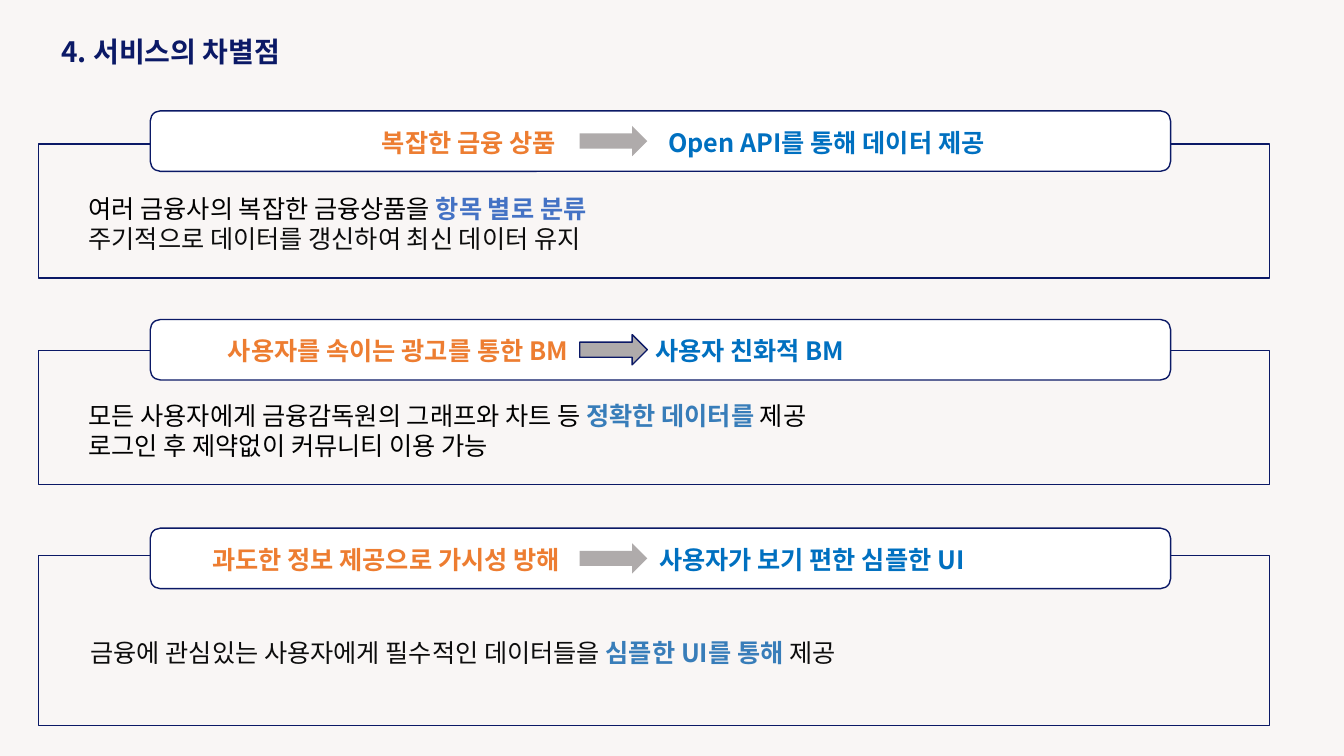
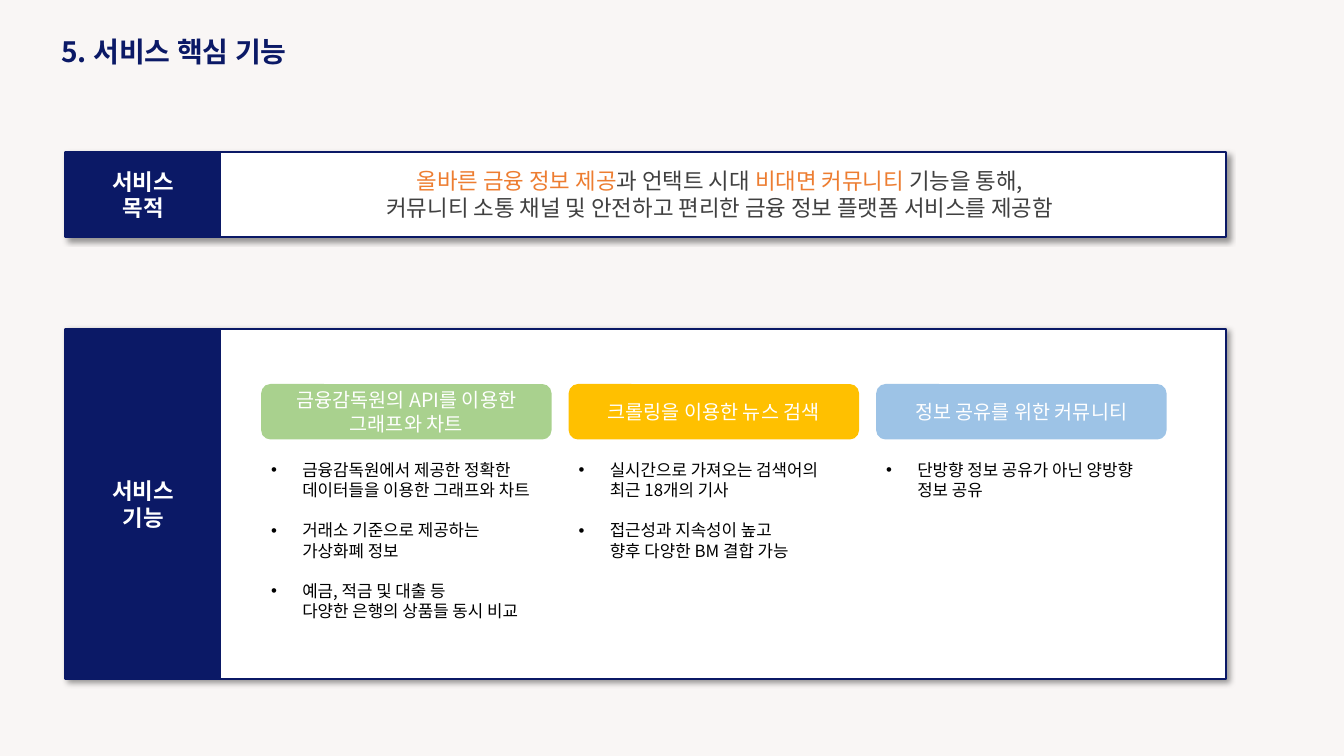
"""Build two slides on what sets a finance information service apart and its key features."""
from dataclasses import dataclass

from lxml import etree
from pptx import Presentation
from pptx import slide as sl
from pptx import util as u
from pptx.dml import color as dml
from pptx.enum import shapes, text
from pptx.oxml import ns
from pptx.shapes import autoshape as auto
from pptx.text import text as tx

FONT = "Noto Sans CJK KR"
BACKGROUND, NAVY, WHITE, BLACK = "F9F6F5", "0B1966", "FFFFFF", "000000"
ORANGE, BLUE, GRAY, DARK = "ED7D31", "0070C0", "AFABAB", "404040"
NEAR_BLACK, INDIGO, STEEL = "0D0D0D", "4472C4", "387DB9"
RECTANGLE = shapes.MSO_SHAPE.RECTANGLE
ROUNDED = shapes.MSO_SHAPE.ROUNDED_RECTANGLE
ARROW = shapes.MSO_SHAPE.RIGHT_ARROW
LEFT, CENTER, RIGHT = text.PP_ALIGN.LEFT, text.PP_ALIGN.CENTER, text.PP_ALIGN.RIGHT


@dataclass(frozen=True)
class Box:
    left: float
    top: float
    width: float
    height: float

    def lengths(self) -> tuple[u.Length, ...]:
        return tuple(u.Inches(n) for n in (self.left, self.top, self.width, self.height))


@dataclass(frozen=True)
class Span:
    text: str
    color: str
    bold: bool = False


Line = tuple[Span, ...]


@dataclass(frozen=True)
class Difference:
    problem: str
    problem_right: float
    answer: str
    answer_left: float
    frame: Box
    body: Box
    lines: tuple[Line, ...]
    arrow_line: str | None = None


@dataclass(frozen=True)
class Feature:
    heading: tuple[str, ...]
    color: str
    bullets: tuple[tuple[str, str], ...]


DIFFERENCES = (
    Difference(
        "복잡한 금융 상품", 5.51, "Open API를 통해 데이터 제공", 6.63,
        Box(0.38, 1.43, 12.21, 1.33), Box(0.78, 1.87, 11.49, 0.71),
        ((Span("여러 금융사의 복잡한 금융상품을 ", BLACK), Span("항목 별로 분류", INDIGO, True)),
         (Span("주기적으로 데이터를 갱신하여 최신 데이터 유지", NEAR_BLACK),)),
    ),
    Difference(
        "사용자를 속이는 광고를 통한 BM", 5.63, "사용자 친화적 BM", 6.5,
        Box(0.38, 3.48, 12.21, 1.33), Box(0.78, 3.92, 11.49, 0.71),
        ((Span("모든 사용자에게 금융감독원의 그래프와 차트 등 ", BLACK),
          Span("정확한 데이터를", STEEL, True), Span(" 제공", BLACK)),
         (Span("로그인 후 제약없이 커뮤니티 이용 가능", BLACK),)),
        NAVY,
    ),
    Difference(
        "과도한 정보 제공으로 가시성 방해", 5.55, "사용자가 보기 편한 심플한 UI", 6.54,
        Box(0.38, 5.51, 12.21, 1.69), Box(0.8, 6.27, 11.49, 0.4),
        ((Span("금융에 관심있는 사용자에게 필수적인 데이터들을 ", NEAR_BLACK),
          Span("심플한 UI를 통해 ", STEEL, True), Span("제공", NEAR_BLACK)),),
    ),
)
PURPOSE = (
    (Span("올바른 금융 정보 제공", ORANGE), Span("과 언택트 시대 ", DARK),
     Span("비대면 커뮤니티 ", ORANGE), Span("기능을 통해,", DARK)),
    (Span("커뮤니티 소통 채널 및 안전하고 편리한 금융 정보 플랫폼 서비스를 제공함", DARK),),
)
FEATURES = (
    Feature(("금융감독원의 API를 이용한", "그래프와 차트"), "A9D18E", (
        ("금융감독원에서 제공한 정확한", "데이터들을 이용한 그래프와 차트"),
        ("거래소 기준으로 제공하는", "가상화폐 정보"),
        ("예금, 적금 및 대출 등", "다양한 은행의 상품들 동시 비교"))),
    Feature(("크롤링을 이용한 뉴스 검색",), "FFC000", (
        ("실시간으로 가져오는 검색어의", "최근 18개의 기사"),
        ("접근성과 지속성이 높고", "향후 다양한 BM 결합 가능"))),
    Feature(("정보 공유를 위한 커뮤니티",), "9DC3E6", (
        ("단방향 정보 공유가 아닌 양방향", "정보 공유"),)),
)


def rgb(value: str) -> dml.RGBColor:
    return dml.RGBColor.from_string(value)


def plain(lines: tuple[str, ...], color: str, bold: bool = False) -> tuple[Line, ...]:
    return tuple((Span(line, color, bold),) for line in lines)


def write(frame: tx.TextFrame, lines: tuple[Line, ...], *, size: float,
          align: text.PP_ALIGN = LEFT, wrap: bool = True,
          anchor: text.MSO_ANCHOR = text.MSO_ANCHOR.TOP) -> None:
    frame.word_wrap = wrap
    frame.vertical_anchor = anchor
    for index, line in enumerate(lines):
        paragraph = frame.add_paragraph() if index else frame.paragraphs[0]
        paragraph.alignment = align
        for span in line:
            run = paragraph.add_run()
            run.text = span.text
            run.font.size = u.Pt(size)
            run.font.bold = span.bold
            run.font.color.rgb = rgb(span.color)
            run.font.name = FONT
            etree.SubElement(run._r.get_or_add_rPr(), ns.qn("a:ea"), typeface=FONT)


def add_text(slide: sl.Slide, box: Box, lines: tuple[Line, ...], *, size: float,
             align: text.PP_ALIGN = LEFT, wrap: bool = True) -> tx.TextFrame:
    frame = slide.shapes.add_textbox(*box.lengths()).text_frame
    write(frame, lines, size=size, align=align, wrap=wrap)
    return frame


def add_shape(slide: sl.Slide, kind: shapes.MSO_SHAPE, box: Box, *, fill: str | None = None,
              line: str | None = None, line_width: float = 1) -> auto.Shape:
    shape = slide.shapes.add_shape(kind, *box.lengths())
    shape.shadow.inherit = False
    if fill:
        shape.fill.solid()
        shape.fill.fore_color.rgb = rgb(fill)
    else:
        shape.fill.background()
    if line:
        shape.line.color.rgb = rgb(line)
        shape.line.width = u.Pt(line_width)
    else:
        shape.line.fill.background()
    return shape


def add_shadow(shape: auto.Shape) -> None:
    effects = shape._element.spPr.find(ns.qn("a:effectLst"))
    shadow = etree.SubElement(
        effects, ns.qn("a:outerShdw"), blurRad=str(u.Pt(4)), dist=str(u.Pt(3)),
        dir="2700000", algn="tl", rotWithShape="0")
    color = etree.SubElement(shadow, ns.qn("a:srgbClr"), val=BLACK)
    etree.SubElement(color, ns.qn("a:alpha"), val="40000")


def add_page(presentation: Presentation, title: str) -> sl.Slide:
    slide = presentation.slides.add_slide(presentation.slide_layouts[6])
    slide.background.fill.solid()
    slide.background.fill.fore_color.rgb = rgb(BACKGROUND)
    add_text(slide, Box(0.51, 0.29, 2.7, 0.44), plain((title,), NAVY, True), size=20, wrap=False)
    return slide


def add_difference(slide: sl.Slide, difference: Difference, top: float) -> None:
    inset = 0.1
    add_shape(slide, RECTANGLE, difference.frame, line=NAVY)
    add_text(slide, difference.body, difference.lines, size=18)
    add_shape(slide, ROUNDED, Box(1.49, top, 10.12, 0.6), fill=WHITE, line=NAVY)
    problem = Box(difference.problem_right + inset - 4, top + 0.11, 4, 0.4)
    answer = Box(difference.answer_left - inset, top + 0.11, 4, 0.4)
    add_text(slide, problem, plain((difference.problem,), ORANGE, True), size=18, align=RIGHT)
    add_text(slide, answer, plain((difference.answer,), BLUE, True), size=18)
    add_shape(slide, ARROW, Box(5.75, top + 0.15, 0.67, 0.3), fill=GRAY,
              line=difference.arrow_line)


def add_panel(slide: sl.Slide, label: tuple[str, ...], top: float, height: float) -> None:
    panel = add_shape(slide, RECTANGLE, Box(0.65, top, 11.51, height), fill=WHITE,
                      line=NAVY, line_width=1.5)
    add_shadow(panel)
    tab = add_shape(slide, RECTANGLE, Box(0.65, top, 1.54, height), fill=NAVY, line=NAVY)
    write(tab.text_frame, plain(label, WHITE, True), size=16, align=CENTER,
          anchor=text.MSO_ANCHOR.MIDDLE)


def add_bullets(slide: sl.Slide, box: Box, bullets: tuple[tuple[str, str], ...]) -> None:
    lines = tuple(line for bullet in bullets for line in bullet)
    frame = add_text(slide, box, plain(lines, BLACK), size=12, wrap=False)
    indent = u.Inches(0.31)
    for index, paragraph in enumerate(frame.paragraphs):
        properties = paragraph._p.get_or_add_pPr()
        properties.set("marL", str(indent))
        if index % 2:
            properties.set("indent", "0")
            paragraph.space_after = u.Pt(14.5)
        else:
            properties.set("indent", str(-indent))
            etree.SubElement(properties, ns.qn("a:buFont"), typeface="Arial")
            etree.SubElement(properties, ns.qn("a:buChar"), char="•")


def add_feature(slide: sl.Slide, feature: Feature, left: float) -> None:
    card = add_shape(slide, ROUNDED, Box(left, 3.81, 2.88, 0.55), fill=feature.color)
    write(card.text_frame, plain(feature.heading, WHITE), size=14, align=CENTER, wrap=False,
          anchor=text.MSO_ANCHOR.MIDDLE)
    height = 0.1 + 0.6 * len(feature.bullets)
    add_bullets(slide, Box(left, 4.51, 3, height), feature.bullets)


def build() -> None:
    presentation = Presentation()
    presentation.slide_width = u.Inches(13.33)
    presentation.slide_height = u.Inches(7.5)

    differences = add_page(presentation, "4. 서비스의 차별점")
    for index, difference in enumerate(DIFFERENCES):
        add_difference(differences, difference, 1.1 + 2.07 * index)

    features = add_page(presentation, "5. 서비스 핵심 기능")
    add_panel(features, ("서비스", "목적"), 1.51, 0.84)
    add_text(features, Box(3.28, 1.61, 7.72, 0.64), PURPOSE, size=16, align=CENTER, wrap=False)
    add_panel(features, ("서비스", "기능"), 3.26, 3.48)
    for index, feature in enumerate(FEATURES):
        add_feature(features, feature, 2.59 + 3.05 * index)

    presentation.save("out.pptx")


build()
